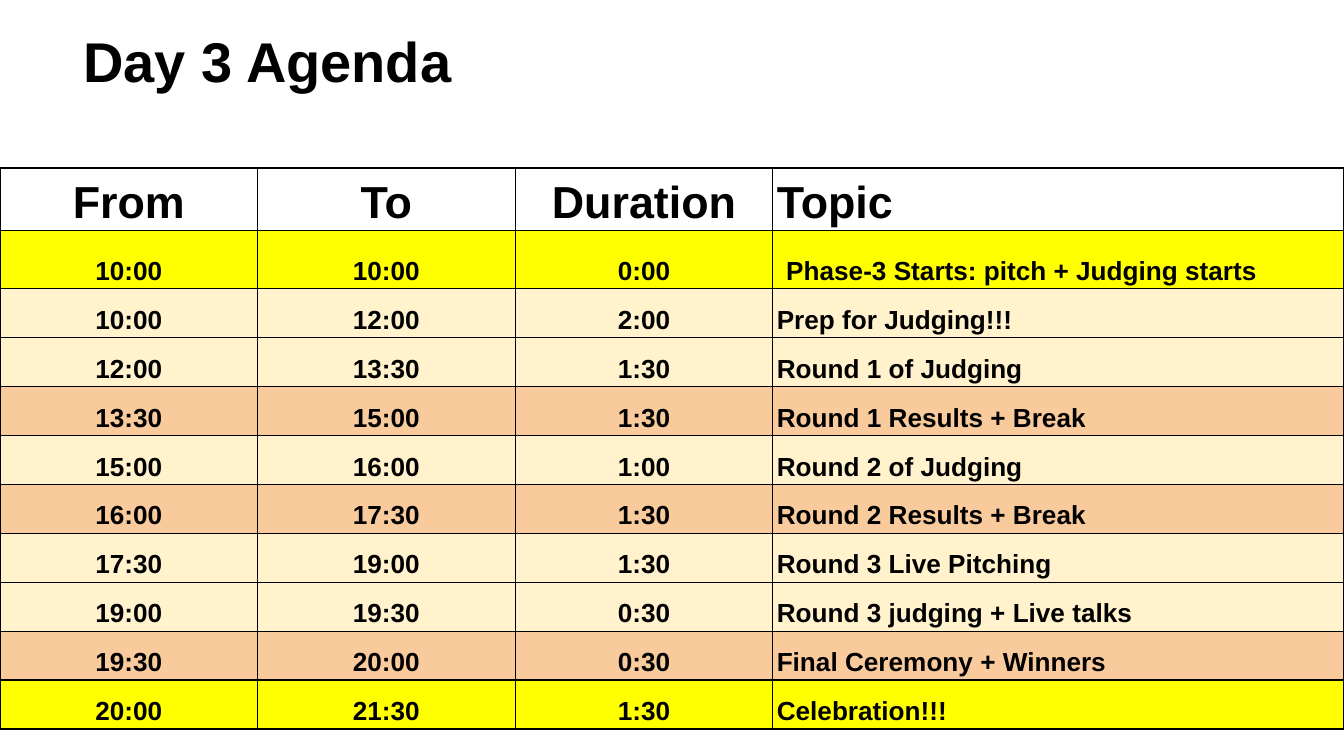
from lxml.etree import SubElement
from pptx import Presentation
from pptx.dml.color import RGBColor
from pptx.enum.text import MSO_ANCHOR, PP_ALIGN
from pptx.oxml.ns import qn
from pptx.util import Inches, Pt

COLORS = {
    "ink": "000000",
    "milestone": "FFFF00",
    "session": "FFF2CC",
    "results": "F9CB9C",
}

HEADINGS = ("From", "To", "Duration", "Topic")
AGENDA = [
    ("milestone", "10:00", "10:00", "0:00", "Phase-3 Starts: pitch + Judging starts"),
    ("session", "10:00", "12:00", "2:00", "Prep for Judging!!!"),
    ("session", "12:00", "13:30", "1:30", "Round 1 of Judging"),
    ("results", "13:30", "15:00", "1:30", "Round 1 Results + Break"),
    ("session", "15:00", "16:00", "1:00", "Round 2 of Judging"),
    ("results", "16:00", "17:30", "1:30", "Round 2 Results + Break"),
    ("session", "17:30", "19:00", "1:30", "Round 3 Live Pitching"),
    ("session", "19:00", "19:30", "0:30", "Round 3 judging + Live talks"),
    ("results", "19:30", "20:00", "0:30", "Final Ceremony + Winners"),
    ("milestone", "20:00", "21:30", "1:30", "Celebration!!!"),
]


def write(frame, text, size=14, align=PP_ALIGN.LEFT, spacing=1.0, font="Arial", color="ink"):
    paragraph = frame.paragraphs[0]
    paragraph.alignment = align
    paragraph.line_spacing = spacing
    run = paragraph.add_run()
    run.text = text
    run.font.name = font
    run.font.size = Pt(size)
    run.font.bold = True
    run.font.color.rgb = RGBColor.from_string(COLORS[color])


class AgendaSlide:
    border_width = Pt(0.75)
    line_spacing = 1.15

    def __init__(self, deck):
        self.slide = deck.slides.add_slide(deck.slide_layouts[5])

    def title(self, text, left, top, width, height):
        heading = self.slide.shapes.title
        heading.left, heading.top = Inches(left), Inches(top)
        heading.width, heading.height = Inches(width), Inches(height)
        frame = heading.text_frame
        frame.word_wrap = True
        frame.vertical_anchor = MSO_ANCHOR.TOP
        frame.margin_left = frame.margin_right = Inches(0.1)
        frame.margin_top = frame.margin_bottom = Inches(0.1)
        write(frame, text, size=30)

    def border(self, cell):
        properties = cell._tc.get_or_add_tcPr()
        for side in ("a:lnL", "a:lnR", "a:lnT", "a:lnB"):
            line = SubElement(properties, qn(side), w=str(self.border_width))
            fill = SubElement(line, qn("a:solidFill"))
            SubElement(fill, qn("a:srgbClr"), val=COLORS["ink"])

    def cell(self, cell, text, size, align, fill=None, side_margin=0.03):
        cell.vertical_anchor = MSO_ANCHOR.BOTTOM
        cell.margin_left = cell.margin_right = Inches(side_margin)
        cell.margin_top = cell.margin_bottom = Inches(0.02)
        self.border(cell)
        if fill:
            cell.fill.solid()
            cell.fill.fore_color.rgb = RGBColor.from_string(COLORS[fill])
        else:
            cell.fill.background()
        write(cell.text_frame, text, size=size, align=align, spacing=self.line_spacing)

    def agenda(self, headings, entries, left, top, width, height):
        rows = [(None, *headings), *entries]
        table = self.slide.shapes.add_table(
            len(rows), len(headings), Inches(left), Inches(top), Inches(width), Inches(height)
        ).table
        table.horz_banding = False
        topic_width = Inches(4.25)
        time_width = (Inches(width) - topic_width) // 3
        for column, column_width in zip(table.columns, [time_width] * 3 + [topic_width]):
            column.width = column_width
        tall = Inches(0.43)
        regular = Inches(3.28) // (len(rows) - 2)
        for r, (fill, *texts) in enumerate(rows):
            table.rows[r].height = tall if r < 2 else regular
            for c, text in enumerate(texts):
                is_topic = c == len(headings) - 1
                self.cell(
                    table.cell(r, c),
                    text,
                    size=24 if r == 0 else 14,
                    align=PP_ALIGN.LEFT if is_topic else PP_ALIGN.CENTER,
                    fill=fill,
                    side_margin=0.1 if is_topic and r == 1 else 0.03,
                )


def main():
    deck = Presentation()
    deck.slide_width = Inches(10)
    deck.slide_height = deck.slide_width * 9 // 16
    day = AgendaSlide(deck)
    day.title("Day 3 Agenda", 0.52, 0.1, 5.78, 0.72)
    day.agenda(HEADINGS, AGENDA, 0, 1.25, 10, 4.14)
    deck.save("out.pptx")


if __name__ == "__main__":
    main()
